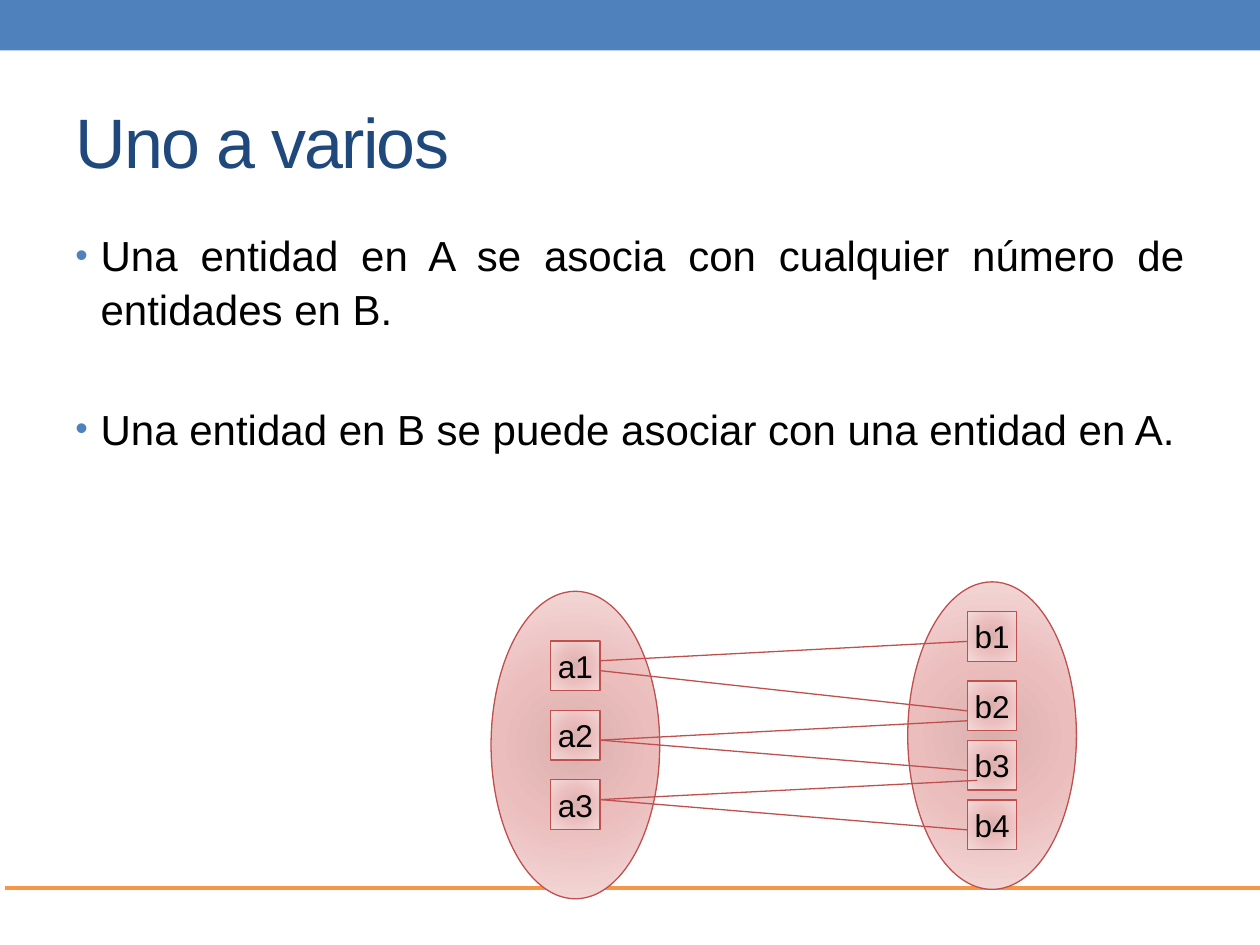
from lxml.etree import SubElement
from pptx import Presentation
from pptx.dml.color import RGBColor
from pptx.enum.shapes import MSO_CONNECTOR, MSO_SHAPE
from pptx.enum.text import MSO_ANCHOR, PP_ALIGN
from pptx.oxml import parse_xml
from pptx.oxml.ns import nsdecls, qn
from pptx.util import Cm, Pt

BLUE = RGBColor(0x4F, 0x81, 0xBD)
NAVY = RGBColor(0x1F, 0x49, 0x7D)
ORANGE = RGBColor(0xF7, 0x96, 0x46)
RED = RGBColor(0xC0, 0x50, 0x4D)
BLACK = RGBColor(0, 0, 0)
PINKS = ((0, RGBColor(0xDA, 0xB0, 0xAF)),
         (45, RGBColor(0xEB, 0xBE, 0xBD)),
         (100, RGBColor(0xF4, 0xDB, 0xDB)))

BOX = 1  # side of an entity box, cm
SET_W, SET_H = 3.4, 6.2  # ellipse of an entity set, cm
BOX_INDENT = 1.2  # from the ellipse's left edge to its boxes, cm

# Each link: box in A, height on it, box in B, height on it, depth into it (cm)
LINKS = (("a1", 0.4, "b1", 0.6, 0), ("a1", 0.6, "b2", 0.6, 0),
         ("a2", 0.6, "b2", 0.8, 0), ("a2", 0.6, "b3", 0.6, 0),
         ("a3", 0.4, "b3", 0.8, 0.2), ("a3", 0.4, "b4", 0.6, 0))


def write(p, text, size=18, color=BLACK, align=PP_ALIGN.LEFT, spacing=None):
    p.alignment = align
    r = p.add_run()
    r.text = text
    r.font.name = "Arial"
    r.font.size = Pt(size)
    r.font.color.rgb = color
    if spacing is not None:
        r._r.get_or_add_rPr().set("spc", str(spacing))


def add_bullet(p):
    pPr = p._p.get_or_add_pPr()
    pPr.set("marL", str(Cm(0.51)))
    pPr.set("indent", str(-Cm(0.51)))
    SubElement(SubElement(pPr, qn("a:buClr")), qn("a:srgbClr"), val=str(BLUE))
    SubElement(pPr, qn("a:buSzPct"), val="85000")
    SubElement(pPr, qn("a:buFont"), typeface="Arial")
    SubElement(pPr, qn("a:buChar"), char="•")


def add_line(shapes, x1, y1, x2, y2, color, width):
    line = shapes.add_connector(MSO_CONNECTOR.STRAIGHT, Cm(x1), Cm(y1), Cm(x2), Cm(y2))
    line.line.color.rgb = color
    line.line.width = Pt(width)
    SubElement(line._element.spPr, qn("a:effectLst"))


def add_pink(shapes, kind, x, y, w, h):
    """Shape with a radial pink gradient and a thin red outline."""
    sp = shapes.add_shape(kind, Cm(x), Cm(y), Cm(w), Cm(h))
    stops = "".join(f'<a:gs pos="{pos * 1000}"><a:srgbClr val="{color}"/></a:gs>'
                    for pos, color in PINKS)
    sp._element.spPr.append(parse_xml(
        f'<a:gradFill {nsdecls("a")} rotWithShape="1"><a:gsLst>{stops}</a:gsLst>'
        '<a:path path="circle"><a:fillToRect l="100000" t="100000" '
        'r="100000" b="100000"/></a:path></a:gradFill>'))
    sp.line.color.rgb = RED
    sp.line.width = Pt(0.75)
    sp.shadow.inherit = False
    return sp


def add_frame(s, width):
    """Band at the top and rule at the bottom."""
    band = s.shapes.add_shape(MSO_SHAPE.RECTANGLE, 0, 0, Cm(width), Cm(1.02))
    band.fill.solid()
    band.fill.fore_color.rgb = BLUE
    band.line.fill.background()
    band.shadow.inherit = False
    add_line(s.shapes, 0.1, 17.9, width + 0.1, 17.9, ORANGE, 2.25)


def add_title(s, text, x, y, w, h):
    title = s.shapes.title
    title.left, title.top, title.width, title.height = Cm(x), Cm(y), Cm(w), Cm(h)
    tf = title.text_frame
    tf.vertical_anchor = MSO_ANCHOR.MIDDLE
    write(tf.paragraphs[0], text, size=40, color=NAVY, spacing=-100)


def add_body(s, texts, x, y, w, h):
    tf = s.shapes.add_textbox(Cm(x), Cm(y), Cm(w), Cm(h)).text_frame
    tf.word_wrap = True
    for i, text in enumerate(texts):
        p = tf.add_paragraph() if i else tf.paragraphs[0]
        write(p, text, size=24, align=PP_ALIGN.JUSTIFY)
        p.line_spacing = 1.06
        p.space_before = Pt(38 if i else 0)
        add_bullet(p)


def add_set(shapes, x, y, entities):
    """Ellipse with its entity boxes; returns the corner of each box."""
    add_pink(shapes, MSO_SHAPE.OVAL, x, y, SET_W, SET_H)
    corners = {}
    for name, drop in entities.items():
        corners[name] = bx, by = x + BOX_INDENT, y + drop
        sp = add_pink(shapes, MSO_SHAPE.RECTANGLE, bx, by, BOX, BOX)
        tf = sp.text_frame
        tf.word_wrap = False
        tf.vertical_anchor = MSO_ANCHOR.MIDDLE
        write(tf.paragraphs[0], name, align=PP_ALIGN.CENTER)
    return corners


def add_mapping(s, x, y):
    """Sets A and B with the links between their entities."""
    shapes = s.shapes.add_group_shape().shapes
    b = add_set(shapes, x + 8.4, y, {"b1": 0.6, "b2": 2, "b3": 3.2, "b4": 4.4})
    a = add_set(shapes, x, y + 0.19, {"a1": 1, "a2": 2.4, "a3": 3.8})
    for start, rise, end, fall, depth in LINKS:
        (ax, ay), (bx, by) = a[start], b[end]
        add_line(shapes, ax + BOX, ay + rise, bx + depth, by + fall, RED, 0.75)


def main():
    prs = Presentation()
    prs.slide_width, prs.slide_height = Cm(25.4), Cm(19.05)
    s = prs.slides.add_slide(prs.slide_layouts[5])
    add_frame(s, 25.4)
    add_title(s, "Uno a varios", 1.27, 1.47, 22.86, 2.74)
    add_body(s, ("Una entidad en A se asocia con cualquier número de entidades en B.",
                 "Una entidad en B se puede asociar con una entidad en A."),
             1.27, 4.45, 22.86, 13.54)
    add_mapping(s, 9.9, 11.73)
    prs.save("out.pptx")


if __name__ == "__main__":
    main()
